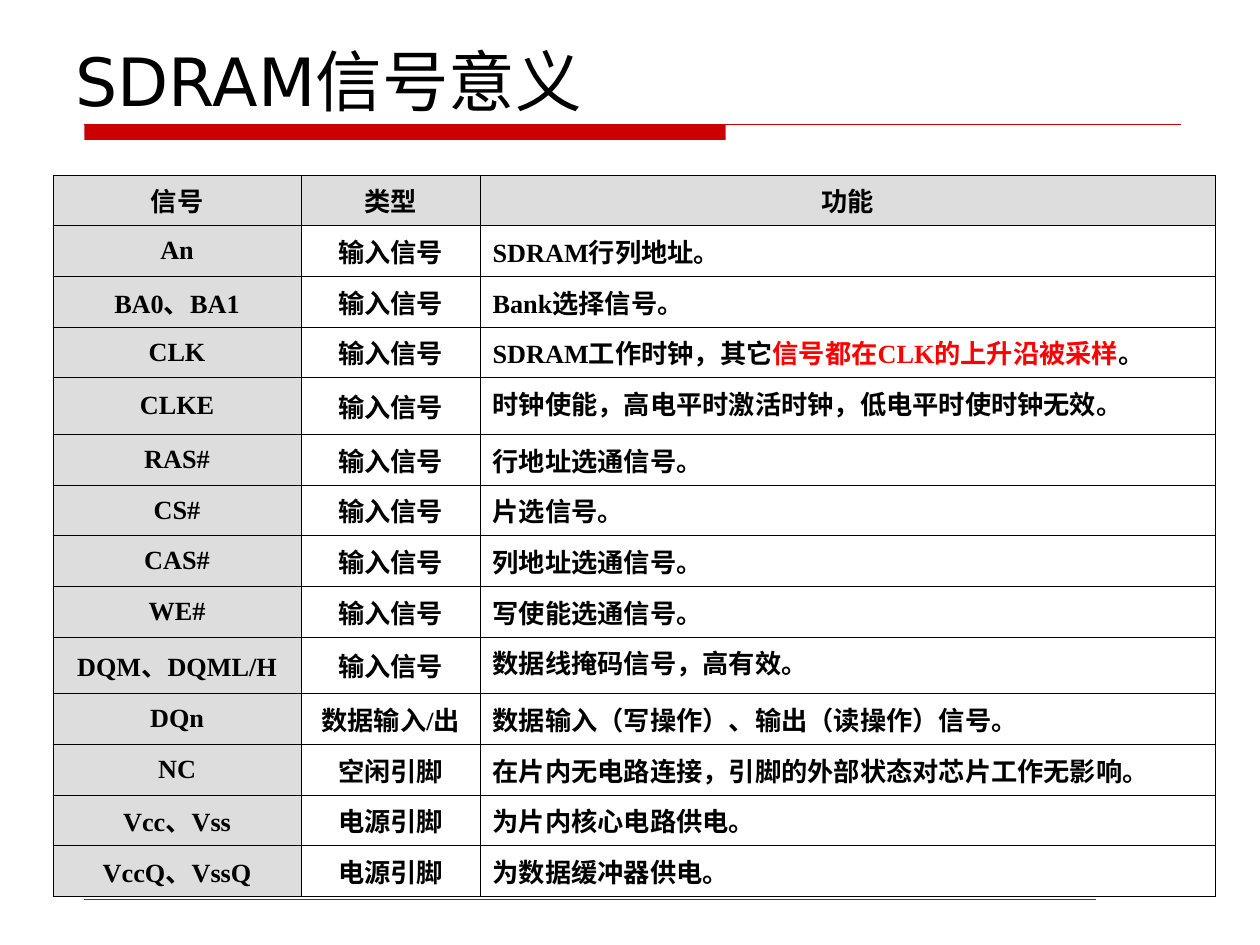
from dataclasses import dataclass

from lxml.etree import SubElement
from pptx import Presentation
from pptx.dml.color import RGBColor
from pptx.enum.shapes import MSO_CONNECTOR, MSO_SHAPE
from pptx.enum.text import MSO_ANCHOR, MSO_AUTO_SIZE, PP_ALIGN
from pptx.oxml.ns import qn
from pptx.util import Inches, Pt


@dataclass(frozen=True)
class Theme:
    black: str = "000000"
    accent: str = "CC0000"
    highlight: str = "FF0000"
    shade: str = "DDDDDD"
    title_font: str = "DejaVu Sans"
    table_font: str = "Times New Roman"
    title_size: float = 38
    table_size: float = 15
    border_width: float = 0.45


THEME = Theme()
COLUMN_WIDTHS = (1.97, 1.42, 5.84)
ROW_HEIGHT = 0.37
TALL_ROW_HEIGHT = 0.45
TALL_SIGNALS = ("CLKE", "DQM、DQML/H")
HANGING_INDENT = Inches(0.51)
INPUT = "输入信号"
POWER = "电源引脚"
CLOCK_PARTS = ("SDRAM工作时钟，其它", "信号都在CLK的上升沿被采样", "。")
SIGNALS = (
    ("信号", "类型", "功能"),
    ("An", INPUT, "SDRAM行列地址。"),
    ("BA0、BA1", INPUT, "Bank选择信号。"),
    ("CLK", INPUT, CLOCK_PARTS),
    ("CLKE", INPUT, "时钟使能，高电平时激活时钟，低电平时使时钟无效。"),
    ("RAS#", INPUT, "行地址选通信号。"),
    ("CS#", INPUT, "片选信号。"),
    ("CAS#", INPUT, "列地址选通信号。"),
    ("WE#", INPUT, "写使能选通信号。"),
    ("DQM、DQML/H", INPUT, "数据线掩码信号，高有效。"),
    ("DQn", "数据输入/出", "数据输入（写操作）、输出（读操作）信号。"),
    ("NC", "空闲引脚", "在片内无电路连接，引脚的外部状态对芯片工作无影响。"),
    ("Vcc、Vss", POWER, "为片内核心电路供电。"),
    ("VccQ、VssQ", POWER, "为数据缓冲器供电。"),
)


def format_span(span, font, size, color, bold=False):
    span.font.name = font
    span.font.size = Pt(size)
    span.font.bold = bold
    span.font.color.rgb = RGBColor.from_string(color)


def add_title(page, text):
    title = page.shapes.title
    title.left, title.top = Inches(0.5), Inches(0.13)
    title.width, title.height = Inches(9), Inches(0.87)
    frame = title.text_frame
    frame.text = text
    frame.auto_size = MSO_AUTO_SIZE.NONE
    frame.vertical_anchor = MSO_ANCHOR.BOTTOM
    para = frame.paragraphs[0]
    para.alignment = PP_ALIGN.LEFT
    format_span(para.runs[0], THEME.title_font, THEME.title_size, THEME.black)


def add_rule(page, left, right, top, width):
    rule = page.shapes.add_connector(
        MSO_CONNECTOR.STRAIGHT, Inches(left), Inches(top), Inches(right), Inches(top)
    )
    rule.line.color.rgb = RGBColor.from_string(THEME.accent)
    rule.line.width = Pt(width)
    SubElement(rule.element.spPr, qn("a:effectLst"))


def add_bar(page, left, top, width, height):
    bar = page.shapes.add_shape(
        MSO_SHAPE.RECTANGLE, Inches(left), Inches(top), Inches(width), Inches(height)
    )
    bar.shadow.inherit = False
    bar.fill.solid()
    bar.fill.fore_color.rgb = RGBColor.from_string(THEME.accent)
    bar.line.fill.background()


def add_borders(cell):
    properties = cell._tc.get_or_add_tcPr()
    for side in ("lnL", "lnR", "lnT", "lnB"):
        line = SubElement(properties, qn(f"a:{side}"), w=str(Pt(THEME.border_width)))
        fill = SubElement(line, qn("a:solidFill"))
        SubElement(fill, qn("a:srgbClr"), val=THEME.black)


def fill_cell(cell, content, centered, middle, shaded):
    add_borders(cell)
    if shaded:
        cell.fill.solid()
        cell.fill.fore_color.rgb = RGBColor.from_string(THEME.shade)
    else:
        cell.fill.background()
    cell.vertical_anchor = MSO_ANCHOR.MIDDLE if middle else MSO_ANCHOR.TOP
    para = cell.text_frame.paragraphs[0]
    para.alignment = PP_ALIGN.CENTER if centered else PP_ALIGN.LEFT
    indents = para._p.get_or_add_pPr()
    indents.set("marL", str(HANGING_INDENT))
    indents.set("indent", str(-HANGING_INDENT))
    parts = (content,) if isinstance(content, str) else content
    for index, part in enumerate(parts):
        span = para.add_run()
        span.text = part
        color = THEME.highlight if index == 1 else THEME.black
        format_span(span, THEME.table_font, THEME.table_size, color, bold=True)


def add_signal_table(page, left, top):
    heights = [
        TALL_ROW_HEIGHT if signal in TALL_SIGNALS else ROW_HEIGHT
        for signal, _, _ in SIGNALS
    ]
    table = page.shapes.add_table(
        len(SIGNALS), len(COLUMN_WIDTHS), Inches(left), Inches(top),
        Inches(sum(COLUMN_WIDTHS)), Inches(sum(heights)),
    ).table
    table.first_row = False
    table.horz_banding = False
    for column, width in zip(table.columns, COLUMN_WIDTHS):
        column.width = Inches(width)
    for row_index, (row, height) in enumerate(zip(table.rows, heights)):
        row.height = Inches(height)
        header = row_index == 0
        for column_index, content in enumerate(SIGNALS[row_index]):
            description = column_index == 2
            fill_cell(
                table.cell(row_index, column_index),
                content,
                centered=header or not description,
                middle=not header and not description,
                shaded=header or column_index == 0,
            )


def main():
    deck = Presentation()
    deck.slide_width, deck.slide_height = Inches(10), Inches(7.5)
    page = deck.slides.add_slide(deck.slide_layouts[5])
    add_bar(page, 0.67, 0.99, 5.09, 0.12)
    add_rule(page, 0.67, 9.37, 0.99, 0.75)
    add_rule(page, 0.67, 8.7, 7.14, 0.25)
    add_title(page, "SDRAM信号意义")
    add_signal_table(page, 0.42, 1.39)
    deck.save("out.pptx")


if __name__ == "__main__":
    main()
